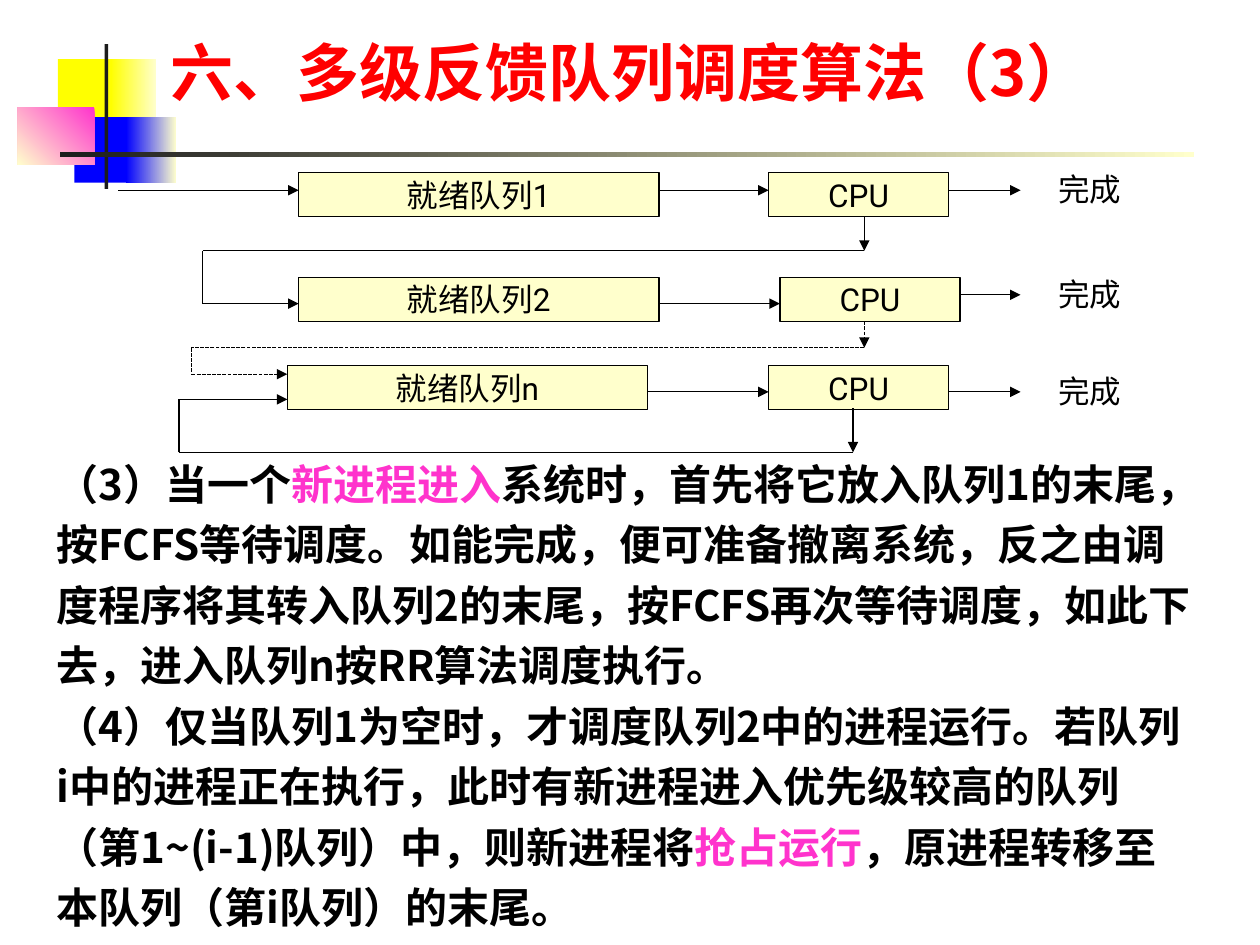
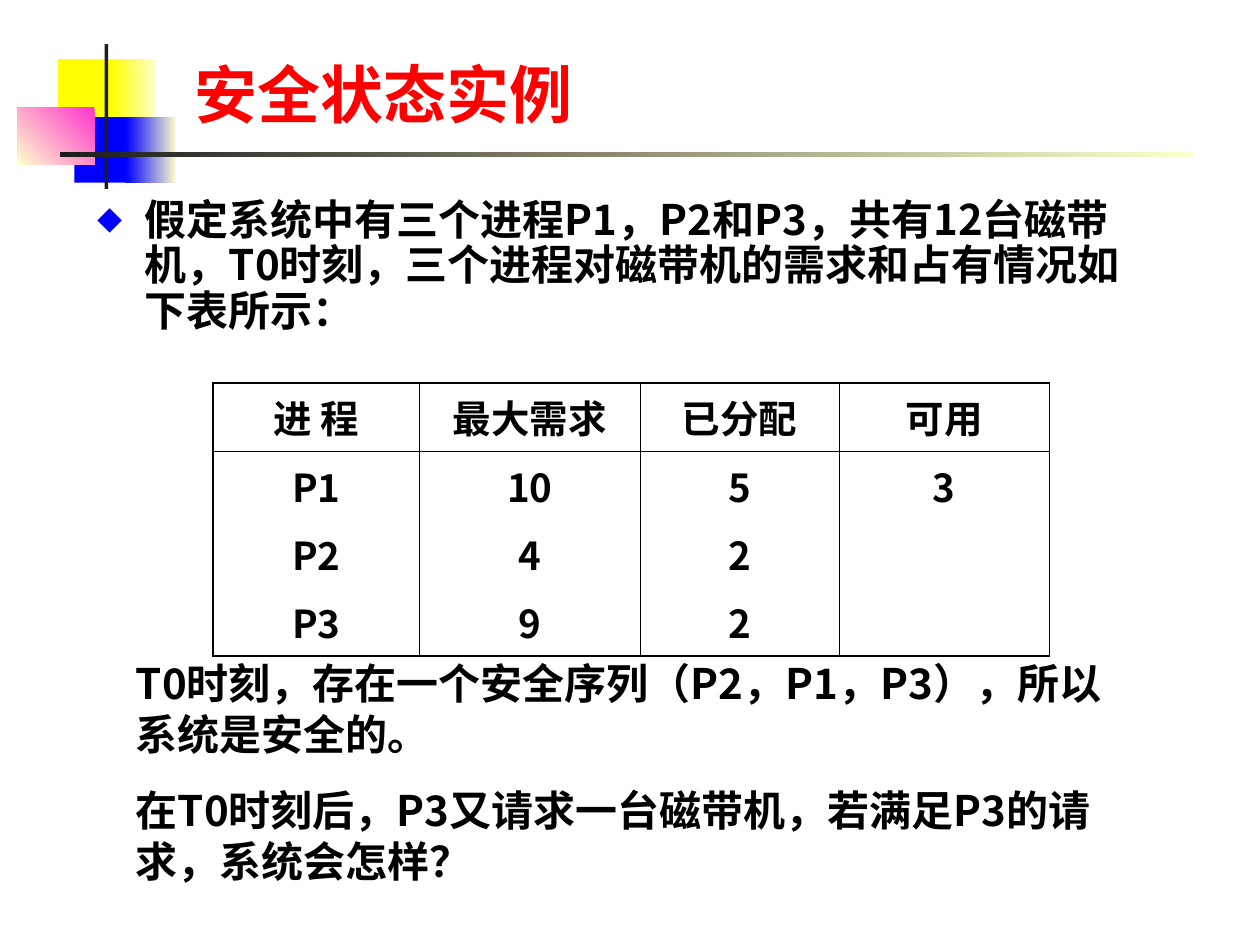
from itertools import pairwise

from lxml import etree
from pptx import Presentation
from pptx.dml.color import RGBColor
from pptx.enum.dml import MSO_LINE
from pptx.enum.lang import MSO_LANGUAGE_ID
from pptx.enum.shapes import MSO_CONNECTOR, MSO_SHAPE
from pptx.enum.text import MSO_ANCHOR, MSO_AUTO_SIZE, PP_ALIGN
from pptx.oxml.ns import qn
from pptx.util import Inches, Pt

RECTANGLE = MSO_SHAPE.RECTANGLE
STRAIGHT = MSO_CONNECTOR.STRAIGHT
DOTTED = MSO_LINE.SQUARE_DOT
CHINESE = MSO_LANGUAGE_ID.SIMPLIFIED_CHINESE
LEFT, CENTER = PP_ALIGN.LEFT, PP_ALIGN.CENTER
TOP, MIDDLE, BOTTOM = MSO_ANCHOR.TOP, MSO_ANCHOR.MIDDLE, MSO_ANCHOR.BOTTOM
NO_AUTOFIT = MSO_AUTO_SIZE.NONE

COLORS = {
    "black": "000000",
    "charcoal": "1C1C1C",
    "cream": "FFFFCC",
    "yellow": "FFFF00",
    "blue": "0000FF",
    "pink": "FF33CC",
    "red": "FF0000",
}
CHINESE_FONT = "Noto Sans CJK SC"
LATIN_FONT = "Roboto"


def add_text(paragraph, text, size=24, bold=True, color="black", font_name=CHINESE_FONT):
    run = paragraph.add_run()
    run.text = text
    font = run.font
    font.size = Pt(size)
    font.bold = bold
    font.name = font_name
    font.language_id = CHINESE
    font.color.rgb = RGBColor.from_string(COLORS[color])
    etree.SubElement(run._r.rPr, qn("a:ea"), typeface=CHINESE_FONT)


def add_line(slide, start, end, arrow=True, dotted=False):
    points = [Inches(value) for value in (*start, *end)]
    connector = slide.shapes.add_connector(STRAIGHT, *points)
    connector.line.color.rgb = RGBColor.from_string(COLORS["black"])
    connector.line.width = Pt(0.75)
    if dotted:
        connector.line.dash_style = DOTTED
    if arrow:
        etree.SubElement(connector.line._get_or_add_ln(), qn("a:tailEnd"), type="triangle")
    etree.SubElement(connector.element.spPr, qn("a:effectLst"))


presentation = Presentation()
presentation.slide_width = Inches(10)
presentation.slide_height = Inches(7.5)
title_and_content, title_only = presentation.slide_layouts[1], presentation.slide_layouts[5]
queue_slide = presentation.slides.add_slide(title_only)
state_slide = presentation.slides.add_slide(title_and_content)

ornaments = [
    ((0.46, 0.47, 0.48, 0.52), ["yellow"], 0),
    ((0.88, 0.47, 0.36, 0.52), ["cream", "yellow"], 180),
    ((0.59, 0.93, 0.46, 0.52), ["blue"], 0),
    ((1, 0.93, 0.4, 0.52), ["cream", "blue"], 180),
    ((0.14, 0.85, 0.61, 0.46), ["pink", "cream"], 225),
    ((0.83, 0.35, 0.03, 1.15), ["charcoal"], 0),
    ((0.48, 1.21, 9, 0.04), ["cream", "charcoal"], 180),
]
master_tree = presentation.slide_master.element.cSld.spTree
for index, (box, color_names, angle) in enumerate(ornaments):
    shape = queue_slide.shapes.add_shape(RECTANGLE, *[Inches(value) for value in box])
    shape.shadow.inherit = False
    shape.line.fill.background()
    if len(color_names) == 1:
        shape.fill.solid()
        shape.fill.fore_color.rgb = RGBColor.from_string(COLORS[color_names[0]])
    else:
        shape.fill.gradient()
        shape.fill.gradient_angle = angle
        for stop, color_name in zip(shape.fill.gradient_stops, color_names):
            stop.color.rgb = RGBColor.from_string(COLORS[color_name])
    shape.element.nvSpPr.cNvPr.set("id", str(20 + index))
    master_tree.insert(2 + index, shape.element)

titles = [
    (queue_slide, "六、多级反馈队列调度算法（3）", (1.25, 0.17, 8.75, 0.75), CHINESE_FONT),
    (state_slide, "安全状态实例", (1.44, 0.28, 6.79, 0.81), LATIN_FONT),
]
for slide, text, box, font_name in titles:
    title = slide.shapes.title
    title.left, title.top, title.width, title.height = [Inches(value) for value in box]
    title.text_frame.auto_size = NO_AUTOFIT
    title.text_frame.vertical_anchor = BOTTOM
    paragraph = title.text_frame.paragraphs[0]
    paragraph.alignment = LEFT
    add_text(paragraph, text, size=36, color="red", font_name=font_name)

queue_width, cpu_width, box_height = 2.86, 1.43, 0.35
queue_rows = [
    ("就绪队列1", 2.37, 6.1, 1.37, 1.51, 1.51, 1.3),
    ("就绪队列2", 2.37, 6.19, 2.2, 2.41, 2.34, 2.13),
    ("就绪队列n", 2.28, 6.1, 2.9, 3.11, 3.11, 2.9),
]
for queue_name, queue_left, cpu_left, top, feed_y, finish_y, label_top in queue_rows:
    for text, left, width in ((queue_name, queue_left, queue_width), ("CPU", cpu_left, cpu_width)):
        shape = queue_slide.shapes.add_shape(
            RECTANGLE, Inches(left), Inches(top), Inches(width), Inches(box_height))
        shape.shadow.inherit = False
        shape.fill.solid()
        shape.fill.fore_color.rgb = RGBColor.from_string(COLORS["cream"])
        shape.line.color.rgb = RGBColor.from_string(COLORS["black"])
        shape.line.width = Pt(0.75)
        shape.text_frame.word_wrap = False
        shape.text_frame.vertical_anchor = MIDDLE
        paragraph = shape.text_frame.paragraphs[0]
        paragraph.alignment = CENTER
        add_text(paragraph, text, size=18, bold=False, font_name=LATIN_FONT)
    add_line(queue_slide, (queue_left + queue_width, feed_y), (cpu_left, feed_y))
    add_line(queue_slide, (cpu_left + cpu_width, finish_y), (8.1, finish_y))
    label = queue_slide.shapes.add_textbox(
        Inches(8.3), Inches(label_top), Inches(0.96), Inches(0.4))
    label.text_frame.word_wrap = True
    add_text(label.text_frame.paragraphs[0], "完成", size=18, bold=False, font_name=LATIN_FONT)

add_line(queue_slide, (0.94, 1.51), (2.37, 1.51))
feedback_routes = [
    (6.86, 1.72, 1.99, 1.61, 2.41, 2.37, False),
    (6.86, 2.55, 2.76, 1.52, 2.97, 2.28, True),
    (6.77, 3.24, 3.59, 1.42, 3.17, 2.28, False),
]
for exit_x, exit_y, turn_y, return_x, entry_y, entry_x, dotted in feedback_routes:
    corners = [(exit_x, exit_y), (exit_x, turn_y), (return_x, turn_y),
               (return_x, entry_y), (entry_x, entry_y)]
    for index, (start, end) in enumerate(pairwise(corners)):
        add_line(queue_slide, start, end, arrow=index in (0, 3), dotted=dotted)

rules = [
    [("（3）当一个", "black"), ("新进程进入", "pink"),
     ("系统时，首先将它放入队列1的末尾，按FCFS等待调度。如能完成，便可准备撤离系统，"
      "反之由调度程序将其转入队列2的末尾，按FCFS再次等待调度，如此下去，"
      "进入队列n按RR算法调度执行。", "black")],
    [("（4）仅当队列1为空时，才调度队列2中的进程运行。若队列i中的进程正在执行，"
      "此时有新进程进入优先级较高的队列（第1~(i-1)队列）中，则新进程将", "black"),
     ("抢占运行", "pink"), ("，原进程转移至本队列（第i队列）的末尾。", "black")],
]
rules_box = queue_slide.shapes.add_textbox(Inches(0.35), Inches(3.51), Inches(9.21), Inches(3.94))
rules_frame = rules_box.text_frame
rules_frame.word_wrap = True
for index, rule in enumerate(rules):
    paragraph = rules_frame.add_paragraph() if index else rules_frame.paragraphs[0]
    paragraph.line_spacing = 1.2
    for text, color in rule:
        add_text(paragraph, text, color=color)

body = state_slide.placeholders[1]
body.left, body.top, body.width, body.height = [
    Inches(value) for value in (0.67, 1.53, 8.39, 1.27)]
body.text_frame.auto_size = NO_AUTOFIT
body.text_frame.vertical_anchor = TOP
paragraph = body.text_frame.paragraphs[0]
properties = paragraph._p.get_or_add_pPr()
properties.set("marL", str(Inches(0.38)))
properties.set("indent", str(-Inches(0.38)))
bullet_color = etree.SubElement(properties, qn("a:buClr"))
etree.SubElement(bullet_color, qn("a:srgbClr"), val=COLORS["blue"])
etree.SubElement(properties, qn("a:buSzPct"), val="60000")
etree.SubElement(properties, qn("a:buFont"), typeface=CHINESE_FONT)
etree.SubElement(properties, qn("a:buChar"), char="◆")
paragraph.line_spacing = 0.9
paragraph.space_before = Pt(0)
add_text(paragraph, "假定系统中有三个进程P1，P2和P3，共有12台磁带机，"
                    "T0时刻，三个进程对磁带机的需求和占有情况如下表所示：")

allocation = [
    ["进 程", "最大需求", "已分配", "可用"],
    ["P1", "10", "5", "3"],
    ["P2", "4", "2", ""],
    ["P3", "9", "2", ""],
]
column_widths = [1.64, 1.75, 1.58, 1.67]
row_height = 0.54
last = len(allocation) - 1
thin, thick = 0.45, 1.08
table = state_slide.shapes.add_table(
    len(allocation), len(column_widths), Inches(1.69), Inches(3.04),
    Inches(sum(column_widths)), Inches(row_height * len(allocation))).table
table.first_row = False
table.horz_banding = False
for column, width in zip(table.columns, column_widths):
    column.width = Inches(width)
for row_index, row_values in enumerate(allocation):
    table.rows[row_index].height = Inches(row_height)
    for column_index, text in enumerate(row_values):
        cell = table.cell(row_index, column_index)
        cell.vertical_anchor = MIDDLE
        cell_properties = cell._tc.get_or_add_tcPr()
        borders = {
            "a:lnL": thick if column_index == 0 else thin,
            "a:lnR": thick if column_index == last else thin,
            "a:lnT": {0: thick, 1: thin}.get(row_index, 0),
            "a:lnB": {0: thin, last: thick}.get(row_index, 0),
        }
        for tag, width in borders.items():
            border = etree.SubElement(cell_properties, qn(tag), w=str(Pt(width)))
            if width:
                border_fill = etree.SubElement(border, qn("a:solidFill"))
                etree.SubElement(border_fill, qn("a:srgbClr"), val=COLORS["black"])
            else:
                etree.SubElement(border, qn("a:noFill"))
        cell.fill.background()
        if text:
            paragraph = cell.text_frame.paragraphs[0]
            paragraph.alignment = CENTER
            add_text(paragraph, text, size=22)

conclusions = [
    "T0时刻，存在一个安全序列（P2，P1，P3），所以系统是安全的。",
    "在T0时刻后，P3又请求一台磁带机，若满足P3的请求，系统会怎样？",
]
conclusion_box = state_slide.shapes.add_textbox(
    Inches(0.98), Inches(5.17), Inches(7.93), Inches(1.91))
conclusion_frame = conclusion_box.text_frame
conclusion_frame.word_wrap = True
for index, text in enumerate(conclusions):
    paragraph = conclusion_frame.add_paragraph() if index else conclusion_frame.paragraphs[0]
    paragraph.space_before = Pt(15 if index else 0)
    add_text(paragraph, text)

presentation.save("out.pptx")
